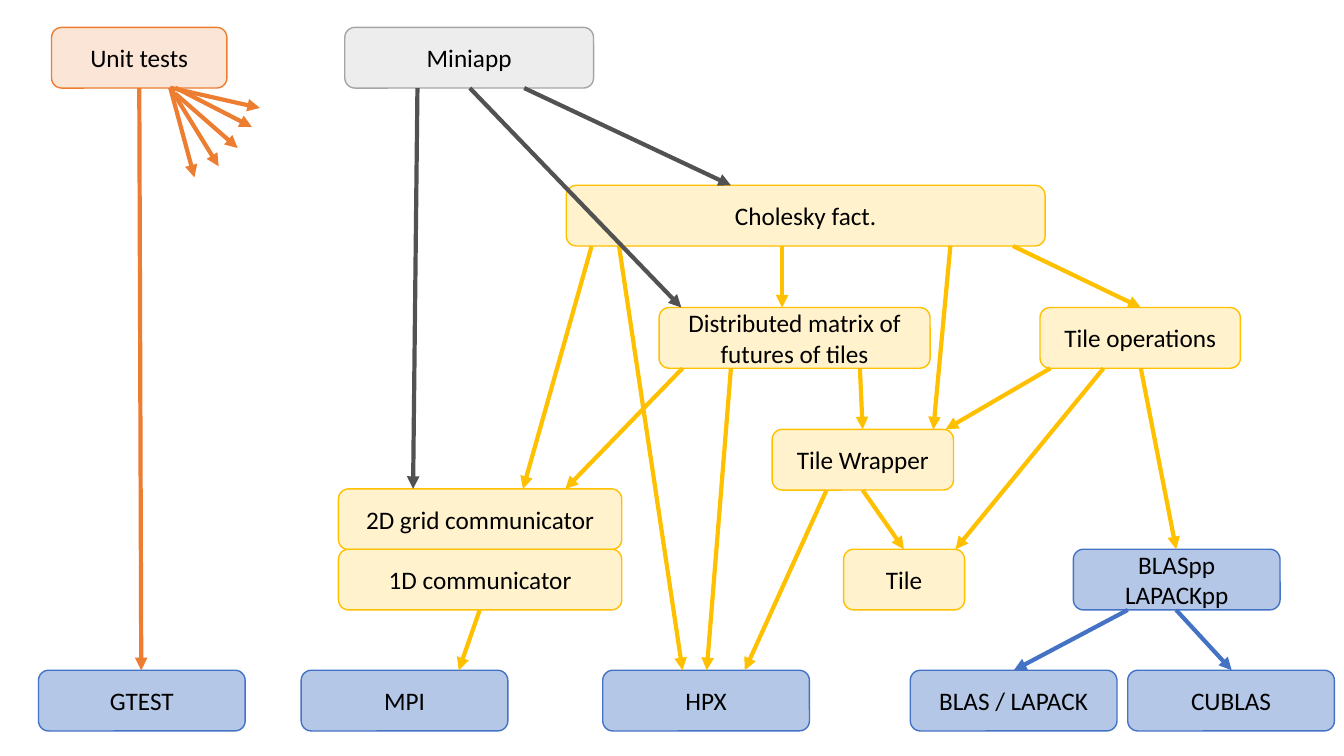
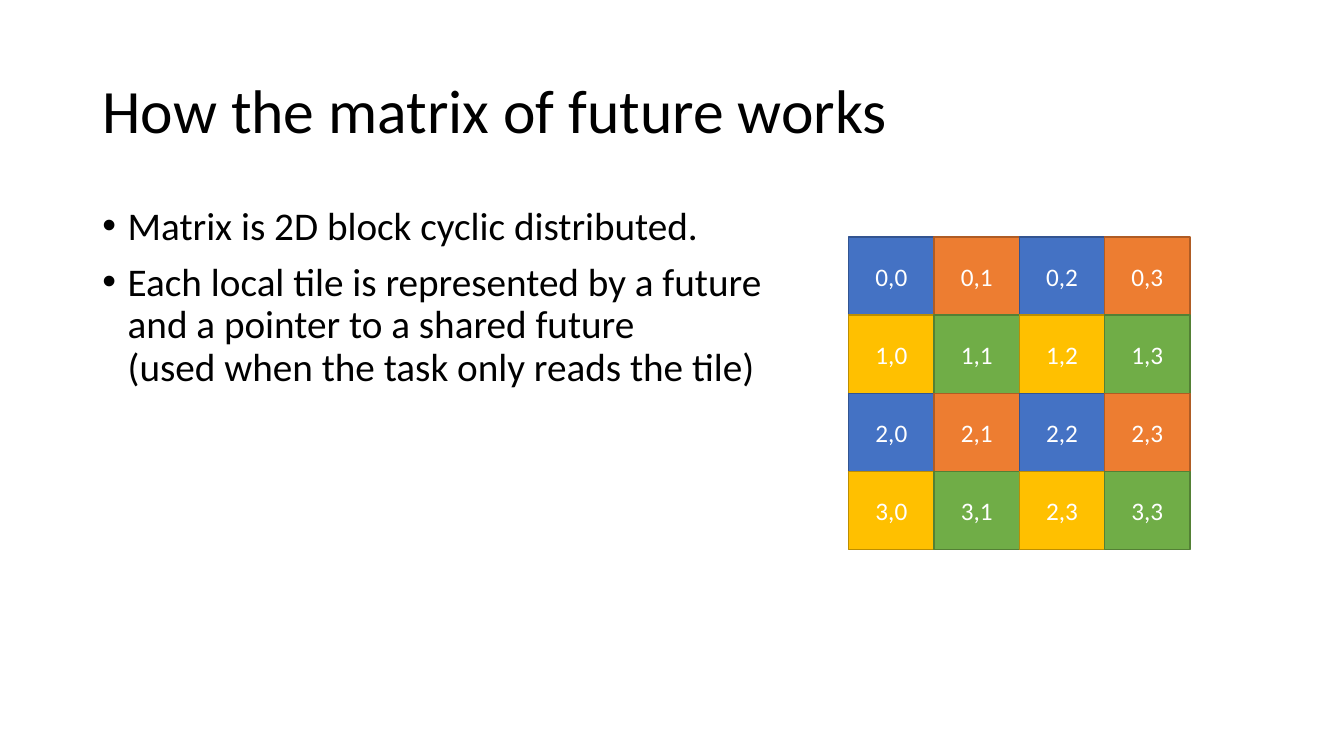
from lxml import etree
from pptx import Presentation
from pptx.dml.color import RGBColor
from pptx.enum.shapes import MSO_CONNECTOR, MSO_SHAPE
from pptx.enum.text import MSO_ANCHOR, MSO_AUTO_SIZE, PP_ALIGN
from pptx.oxml.ns import qn
from pptx.util import Cm, Pt

ROUND, RECT = MSO_SHAPE.ROUNDED_RECTANGLE, MSO_SHAPE.RECTANGLE
LINE = MSO_CONNECTOR.STRAIGHT
LEFT, MID = PP_ALIGN.LEFT, PP_ALIGN.CENTER
TOP, HALF = MSO_ANCHOR.TOP, MSO_ANCHOR.MIDDLE
FIXED = MSO_AUTO_SIZE.NONE
RGB = RGBColor.from_string

FONT = "Calibri"
BLACK, WHITE = "000000", "FFFFFF"
BLUE, ORANGE, GOLD, GREEN = "4472C4", "ED7D31", "FFC000", "70AD47"


def write(frame, text, size=18, color=BLACK, align=MID, anchor=HALF, space=1, before=0):
    frame.word_wrap = True
    frame.auto_size = FIXED
    frame.vertical_anchor = anchor
    frame.text = text
    for para in frame.paragraphs:
        para.alignment = align
        para.line_spacing = space
        para.space_before = Pt(before)
        for run in para.runs:
            run.font.name = FONT
            run.font.size = Pt(size)
            run.font.color.rgb = RGB(color)


def box(slide, form, text, left, top, width, height, fill, edge, color=BLACK):
    shape = slide.shapes.add_shape(form, Cm(left), Cm(top), Cm(width), Cm(height))
    shape.shadow.inherit = False
    shape.fill.solid()
    shape.fill.fore_color.rgb = RGB(fill)
    shape.line.color.rgb = RGB(edge)
    shape.line.width = Pt(1)
    write(shape.text_frame, text, color=color)


deck = Presentation()
deck.slide_width, deck.slide_height = Cm(33.87), Cm(19.05)

graph = deck.slides.add_slide(deck.slide_layouts[6])
TALL = 1.53
kinds = {
    "test": ("FBE5D6", ORANGE, ORANGE),
    "app": ("EDEDED", "A5A5A5", "525252"),
    "core": ("FFF2CC", GOLD, GOLD),
    "base": ("B4C7E7", BLUE, BLUE),
}
nodes = {
    "unit": ("Unit tests", 1.3, 0.69, 4.42, "test"),
    "mini": ("Miniapp", 8.69, 0.69, 6.27, "app"),
    "fact": ("Cholesky fact.", 14.27, 4.67, 12.07, "core"),
    "dist": ("Distributed matrix of futures of tiles", 16.61, 7.75, 6.83, "core"),
    "ops": ("Tile operations", 26.21, 7.75, 5.05, "core"),
    "wrap": ("Tile Wrapper", 19.46, 10.82, 4.57, "core"),
    "grid": ("2D grid communicator", 8.53, 12.32, 7.14, "core"),
    "line": ("1D communicator", 8.53, 13.84, 7.14, "core"),
    "tile": ("Tile", 21.26, 13.84, 3.05, "core"),
    "pp": ("BLASpp\vLAPACKpp", 27.05, 13.84, 5.21, "base"),
    "gtest": ("GTEST", 0.97, 16.89, 5.21, "base"),
    "mpi": ("MPI", 7.59, 16.89, 5.21, "base"),
    "hpx": ("HPX", 15.19, 16.89, 5.21, "base"),
    "blas": ("BLAS / LAPACK", 22.94, 16.89, 5.21, "base"),
    "gpu": ("CUBLAS", 28.42, 16.89, 5.21, "base"),
}
for text, left, top, width, kind in nodes.values():
    fill, edge, _ = kinds[kind]
    box(graph, ROUND, text, left, top, width, TALL, fill, edge)

links = [
    ("wrap", 21.74, "tile", 22.78),
    ("wrap", 20.83, "hpx", 18.77),
    ("dist", 21.67, "wrap", 21.74),
    ("dist", 17.2, "grid", 14.25),
    ("dist", 18.42, "hpx", 17.81),
    ("fact", 15.6, "hpx", 17.2),
    ("fact", 19.71, "dist", 19.71),
    ("fact", 14.91, "grid", 13.18),
    ("fact", 23.95, "wrap", 23.52),
    ("fact", 25.53, "ops", 28.75),
    ("ops", 28.75, "pp", 29.64),
    ("ops", 27.81, "tile", 24.08),
    ("ops", 26.47, "wrap", 23.83),
    ("line", 12.09, "mpi", 11.56),
    ("pp", 29.64, "gpu", 31.04),
    ("pp", 28.42, "blas", 25.55),
    ("mini", 13.21, "fact", 18.42),
    ("mini", 10.52, "grid", 10.41),
    ("mini", 11.84, "dist", 17.17),
    ("unit", 3.51, "gtest", 3.56),
]
arrows = []
for start, x1, end, x2 in links:
    _, _, top, _, kind = nodes[start]
    arrows.append((x1, top + TALL, x2, nodes[end][2], kinds[kind][2]))
fan = [
    (4.29, 2.21, 4.9, 4.47),
    (4.29, 2.21, 5.51, 4.19),
    (4.42, 2.36, 5.99, 3.73),
    (4.42, 2.21, 6.35, 3.2),
    (4.29, 2.21, 6.55, 2.72),
]
arrows += [(*ends, ORANGE) for ends in fan]
for x1, y1, x2, y2, color in arrows:
    arrow = graph.shapes.add_connector(LINE, Cm(x1), Cm(y1), Cm(x2), Cm(y2))
    arrow.line.color.rgb = RGB(color)
    arrow.line.width = Pt(3)
    etree.SubElement(arrow.line._get_or_add_ln(), qn("a:tailEnd"), type="triangle")
    etree.SubElement(arrow._element.spPr, qn("a:effectLst"))

works = deck.slides.add_slide(deck.slide_layouts[5])
title = works.shapes.title
title.left, title.top, title.width, title.height = Cm(2.33), Cm(1.01), Cm(29.21), Cm(3.68)
write(title.text_frame, "How the matrix of future works", size=44, align=LEFT, space=0.9)

points = [
    "Matrix is 2D block cyclic distributed.",
    "Each local tile is represented by a future\vand a pointer to a shared future\v"
    "(used when the task only reads the tile)",
]
body = works.shapes.add_textbox(Cm(2.33), Cm(5.07), Cm(29.21), Cm(12.09)).text_frame
write(body, "\n".join(points), size=28, align=LEFT, anchor=TOP, space=0.9, before=10)
for para in body.paragraphs:
    props = para._p.get_or_add_pPr()
    props.set("marL", str(Cm(0.64)))
    props.set("indent", str(-Cm(0.64)))
    etree.SubElement(props, qn("a:buFont"), typeface="Arial")
    etree.SubElement(props, qn("a:buChar"), char="•")

hues = [
    [(BLUE, "325491"), (ORANGE, "AF5C24")],
    [(GOLD, "BD8E00"), (GREEN, "538035")],
]
names = [
    ["0,0", "0,1", "0,2", "0,3"],
    ["1,0", "1,1", "1,2", "1,3"],
    ["2,0", "2,1", "2,2", "2,3"],
    ["3,0", "3,1", "2,3", "3,3"],
]
WIDE, HIGH = 2.15, 1.97
for row, cells in enumerate(names):
    for col, name in enumerate(cells):
        fill, edge = hues[row % 2][col % 2]
        left, top = 21.39 + col * WIDE, 5.97 + row * HIGH
        box(works, RECT, name, left, top, WIDE, HIGH, fill, edge, color=WHITE)

deck.save("out.pptx")
